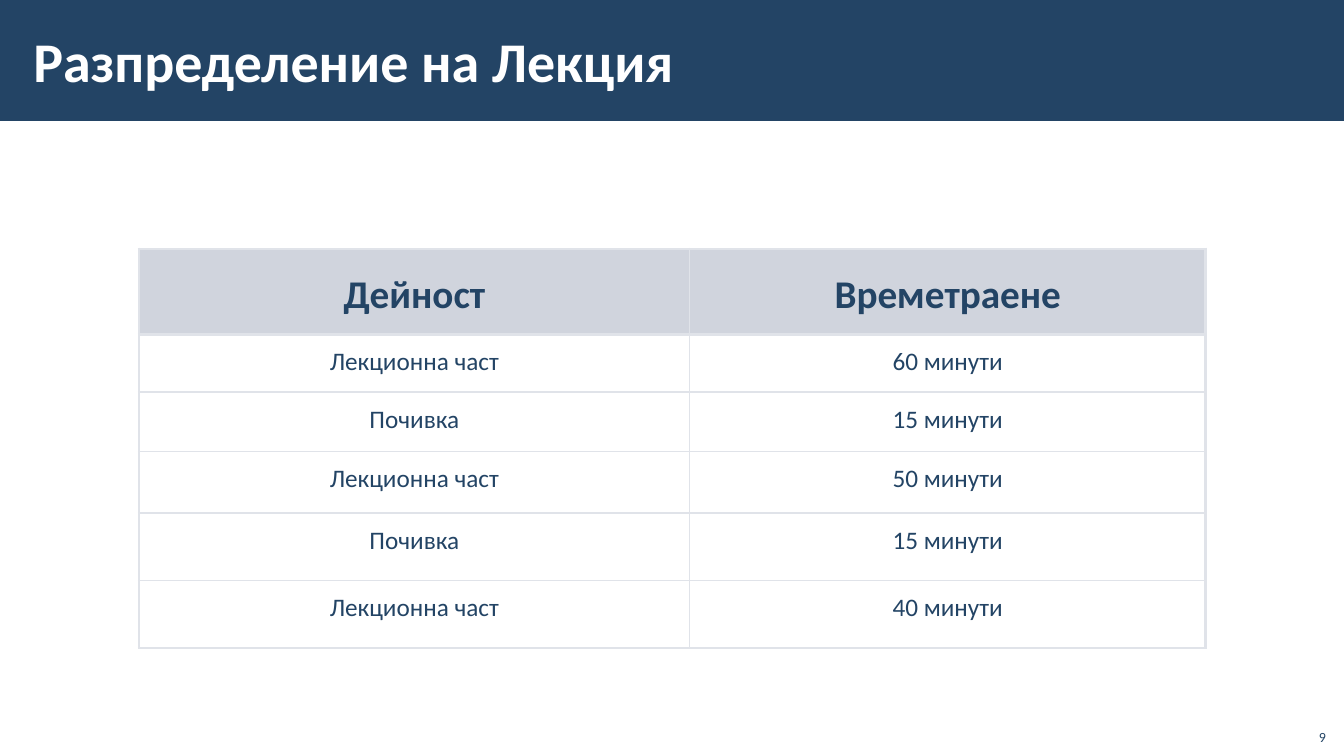
import dataclasses

import lxml.etree
import pptx
import pptx.dml.color
import pptx.enum.shapes
import pptx.enum.text
import pptx.oxml.ns
import pptx.util

Inches = pptx.util.Inches
ALIGN = pptx.enum.text.PP_ALIGN
ANCHOR = pptx.enum.text.MSO_ANCHOR
COLORS = {"navy": "234465", "white": "FFFFFF", "head": "A3ABBC", "line": "E0E3E9"}
FONT = "Calibri"
THICK, THIN = 2.25, 1


@dataclasses.dataclass
class Row:
    task: str
    time: str
    height: float


ROWS = [
    Row("Дейност", "Времетраене", 0.85),
    Row("Лекционна част", "60 минути", 0.57),
    Row("Почивка", "15 минути", 0.59),
    Row("Лекционна част", "50 минути", 0.61),
    Row("Почивка", "15 минути", 0.67),
    Row("Лекционна част", "40 минути", 0.67),
]
WIDTHS = [5.46, 5.12]


def color(name: str) -> pptx.dml.color.RGBColor:
    return pptx.dml.color.RGBColor.from_string(COLORS[name])


def write(frame, text: str, *, size: float, tint: str = "navy", bold: bool = False,
          align=ALIGN.LEFT, spacing: float = 1.0) -> None:
    """Put one formatted paragraph into a text frame."""
    frame.word_wrap = True
    para = frame.paragraphs[0]
    para.alignment = align
    para.line_spacing = spacing
    para.space_before = pptx.util.Pt(0)
    run = para.add_run()
    run.text = text
    run.font.name = FONT
    run.font.size = pptx.util.Pt(size)
    run.font.bold = bold
    run.font.color.rgb = color(tint)


def inset(box, side: float, top: float, bottom: float) -> None:
    box.margin_left = box.margin_right = Inches(side)
    box.margin_top, box.margin_bottom = Inches(top), Inches(bottom)


def child(parent, tag: str, **attrs: str):
    return lxml.etree.SubElement(parent, pptx.oxml.ns.qn(tag), **attrs)


def border(cell, **widths: float) -> None:
    """Draw cell edges, given in the order L, R, T, B."""
    props = cell._tc.get_or_add_tcPr()
    for side, width in widths.items():
        line = child(props, f"a:ln{side}", w=str(pptx.util.Pt(width)))
        fill = child(line, "a:solidFill")
        child(fill, "a:srgbClr", val=COLORS["line"])


def add_band(slide) -> None:
    band = slide.shapes.add_shape(pptx.enum.shapes.MSO_SHAPE.RECTANGLE,
                                  0, 0, Inches(13.33), Inches(1.2))
    band.shadow.inherit = False
    band.fill.solid()
    band.fill.fore_color.rgb = color("navy")
    band.line.fill.background()
    slide.shapes.title.element.addprevious(band.element)


def add_title(slide) -> None:
    title = slide.shapes.title
    title.left, title.top = Inches(0.21), Inches(0.11)
    title.width, title.height = Inches(10.63), Inches(0.97)
    frame = title.text_frame
    inset(frame, 0.12, 0.04, 0.04)
    frame.vertical_anchor = ANCHOR.MIDDLE
    write(frame, "Разпределение на Лекция", size=40, tint="white", bold=True)


def fill_cell(cell, text: str, row: int, col: int) -> None:
    head = row == 0
    inset(cell, 0.16 if head else 0.1, 0.12, 0.05)
    cell.vertical_anchor = ANCHOR.MIDDLE if head else ANCHOR.TOP
    border(cell, L=THIN if col else THICK, R=THICK if col else THIN,
           T=THICK if row < 2 else THIN, B=THICK if head else THIN)
    if head:
        cell.fill.solid()
        cell.fill.fore_color.rgb = color("head")
        shade = cell._tc.tcPr.find(".//" + pptx.oxml.ns.qn("a:srgbClr") + f"[@val='{COLORS['head']}']")
        child(shade, "a:alpha", val="50000")
    else:
        cell.fill.background()
    write(cell.text_frame, text, size=28 if head else 18, bold=head,
          align=ALIGN.CENTER, spacing=0.95 if head else 1.0)


def add_plan(slide) -> None:
    height = sum(row.height for row in ROWS)
    table = slide.shapes.add_table(len(ROWS), len(WIDTHS), Inches(1.38), Inches(2.47),
                                   Inches(sum(WIDTHS)), Inches(height)).table
    table.first_row = table.horz_banding = False
    for column, width in zip(table.columns, WIDTHS):
        column.width = Inches(width)
    for r, row in enumerate(ROWS):
        table.rows[r].height = Inches(row.height)
        for c, text in enumerate((row.task, row.time)):
            fill_cell(table.cell(r, c), text, r, c)


def add_number(slide) -> None:
    box = slide.shapes.add_textbox(Inches(12.85), Inches(7.12), Inches(0.4), Inches(0.32))
    box.text_frame.vertical_anchor = ANCHOR.BOTTOM
    write(box.text_frame, "9", size=10, align=ALIGN.RIGHT)


def main() -> None:
    deck = pptx.Presentation()
    deck.slide_width, deck.slide_height = Inches(13.33), Inches(7.5)
    slide = deck.slides.add_slide(deck.slide_layouts[5])
    # Header
    add_band(slide)
    add_title(slide)
    # Lesson plan
    add_plan(slide)
    # Page number
    add_number(slide)
    deck.save("out.pptx")


if __name__ == "__main__":
    main()
